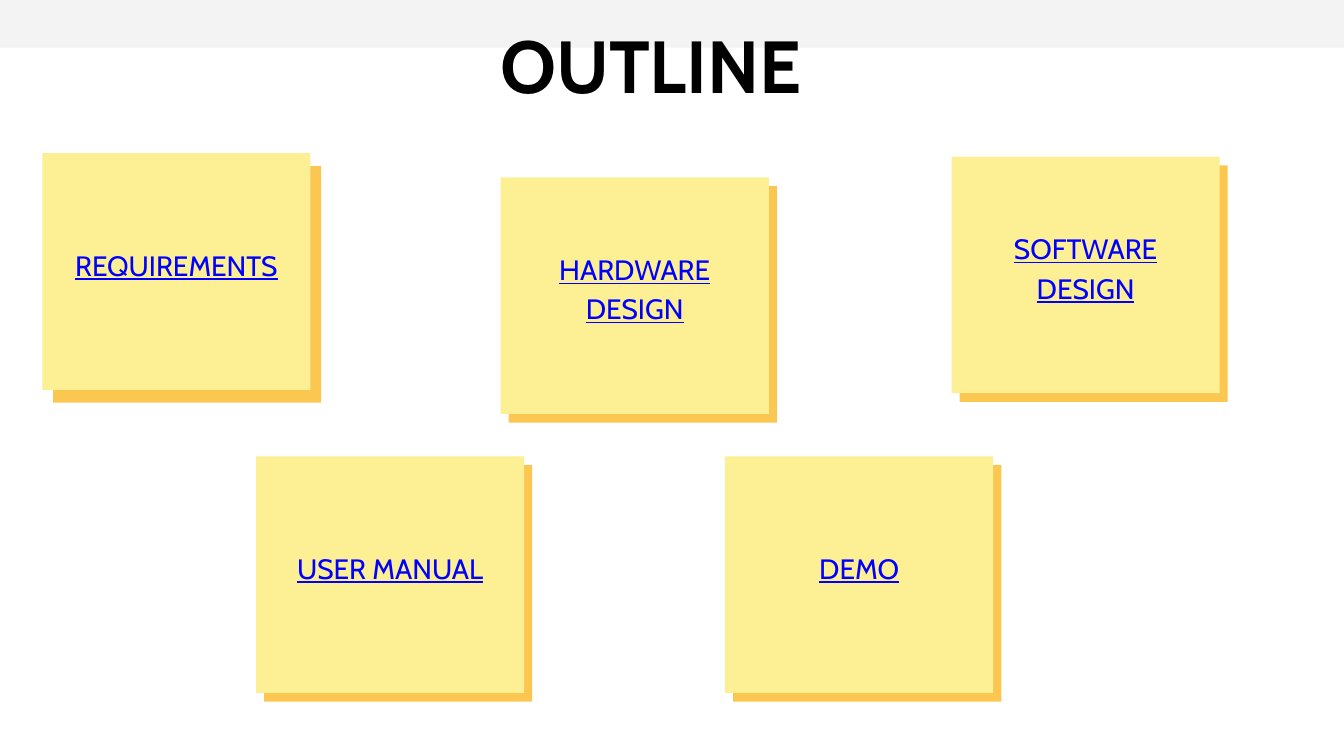
from dataclasses import dataclass

from lxml.etree import SubElement
from pptx import Presentation
from pptx.dml.color import RGBColor
from pptx.enum.shapes import MSO_SHAPE
from pptx.enum.text import MSO_ANCHOR, PP_ALIGN
from pptx.oxml.ns import qn
from pptx.util import Inches, Pt

# All lengths are percentages of the slide's width (across) or height (down).
TITLE = "OUTLINE"
TITLE_BOX = (31.9, 0.62, 33.05, 13.16)
BAND_BOX = (0, 0, 100, 6.31)
NOTE_SIZE = (19.95, 31.29)
NEAR, FAR = (0.6, 1.16), (0.8, 1.69)  # how far the backing sticks out

# label, left, top, backing offset
NOTES = [
    ("SOFTWARE DESIGN", 70.8, 20.71, NEAR),
    ("HARDWARE DESIGN", 37.25, 23.47, NEAR),
    ("DEMO", 53.95, 60.36, NEAR),
    ("REQUIREMENTS", 3.15, 20.27, FAR),
    ("USER MANUAL", 19.05, 60.36, NEAR),
]


@dataclass(frozen=True)
class Theme:
    font: str = "Cabin"
    band: str = "E1DFDF"
    band_opacity: int = 35
    note: str = "FDEF94"
    backing: str = "FCC751"
    title: str = "000000"
    label: str = "0000FF"
    title_size: float = 79
    title_spacing: float = 110.5
    label_size: float = 30
    label_spacing: float = 42


theme = Theme()
presentation = Presentation()
presentation.slide_width, presentation.slide_height = Inches(20), Inches(11.25)
slide = presentation.slides.add_slide(presentation.slide_layouts[6])


def across(percent):
    return round(presentation.slide_width * percent / 100)


def down(percent):
    return round(presentation.slide_height * percent / 100)


def place(left, top, width, height):
    return across(left), down(top), across(width), down(height)


def add_rectangle(box, color):
    shape = slide.shapes.add_shape(MSO_SHAPE.RECTANGLE, *place(*box))
    shape.shadow.inherit = False
    shape.fill.solid()
    shape.fill.fore_color.rgb = RGBColor.from_string(color)
    shape.line.fill.background()
    return shape


def write(shape, text, size, spacing, color, insets, **style):
    frame = shape.text_frame
    frame.word_wrap = True
    (frame.margin_left, frame.margin_top,
     frame.margin_right, frame.margin_bottom) = insets
    paragraph = frame.paragraphs[0]
    paragraph.alignment = PP_ALIGN.CENTER
    paragraph.line_spacing = Pt(spacing)
    run = paragraph.add_run()
    run.text = text
    run.font.name = theme.font
    run.font.size = Pt(size)
    run.font.color.rgb = RGBColor.from_string(color)
    for name, value in style.items():
        setattr(run.font, name, value)
    return frame


def add_note(label, left, top, offset):
    add_rectangle((left + offset[0], top + offset[1], *NOTE_SIZE), theme.backing)
    note = add_rectangle((left, top, *NOTE_SIZE), theme.note)
    inset = across(1.4)
    # The doubled bottom inset lifts the label a little above the middle.
    frame = write(note, label, theme.label_size, theme.label_spacing, theme.label,
                  (inset, inset, inset, 2 * inset), underline=True)
    frame.vertical_anchor = MSO_ANCHOR.MIDDLE


band = add_rectangle(BAND_BOX, theme.band)
band_color = band.fill._xPr.find(qn("a:solidFill")).find(qn("a:srgbClr"))
SubElement(band_color, qn("a:alpha"), val=str(theme.band_opacity * 1000))

title = slide.shapes.add_textbox(*place(*TITLE_BOX))
write(title, TITLE, theme.title_size, theme.title_spacing, theme.title,
      (0, 0, 0, 0), bold=True)

for note in NOTES:
    add_note(*note)

presentation.save("out.pptx")
